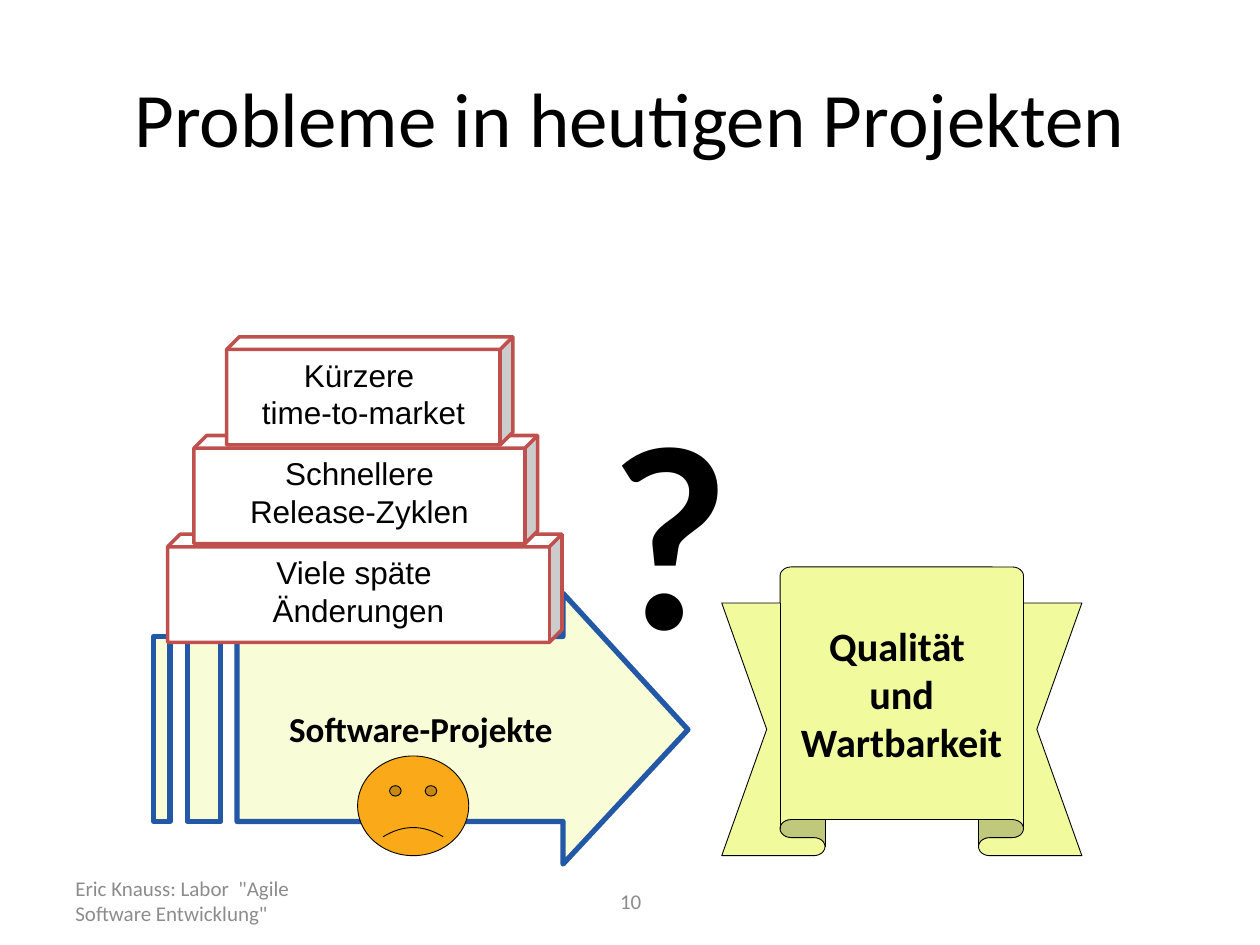
import pptx
import pptx.util
import pptx.dml.color
import pptx.enum.shapes
import pptx.enum.text
from dataclasses import dataclass

Cm = pptx.util.Cm
Pt = pptx.util.Pt
Kind = pptx.enum.shapes.MSO_SHAPE
Align = pptx.enum.text.PP_ALIGN
Anchor = pptx.enum.text.MSO_ANCHOR


@dataclass
class Theme:
    ink: str = "000000"
    grey: str = "8C8C8C"
    white: str = "FFFFFF"
    red: str = "C0504D"
    blue: str = "2358A7"
    cream: str = "F9FDD7"
    lime: str = "F1FA9C"
    gold: str = "FAA918"
    body: str = "Calibri"
    block: str = "Arial"
    mark: str = "Lato"
    title: int = 44
    foot: int = 12
    arrow: int = 20
    goal: int = 23
    cube: int = 18
    huge: int = 142


theme = Theme()


def paint(shape, fill, line, width):
    shape.shadow.inherit = False
    shape.fill.solid()
    shape.fill.fore_color.rgb = pptx.dml.color.RGBColor.from_string(fill)
    shape.line.color.rgb = pptx.dml.color.RGBColor.from_string(line)
    shape.line.width = Pt(width)


def write(shape, text, size, font, color=theme.ink, bold=False,
          align=Align.CENTER, anchor=Anchor.MIDDLE, wrap=True):
    frame = shape.text_frame
    frame.text = text
    frame.word_wrap = wrap
    frame.vertical_anchor = anchor
    for para in frame.paragraphs:
        para.alignment = align
        for run in para.runs:
            run.font.size = Pt(size)
            run.font.name = font
            run.font.bold = bold
            run.font.color.rgb = pptx.dml.color.RGBColor.from_string(color)


deck = pptx.Presentation()
deck.slide_width, deck.slide_height = Cm(25.4), Cm(19.05)
slide = deck.slides.add_slide(deck.slide_layouts[5])
shapes = slide.shapes

# Title and footer
title = shapes.title
title.left, title.top, title.width, title.height = Cm(1.27), Cm(0.76), Cm(22.86), Cm(3.18)
write(title, "Probleme in heutigen Projekten", theme.title, theme.body)

for left, width, text, align in (
    (1.27, 5.92, 'Eric Knauss: Labor  "Agile Software Entwicklung"', Align.LEFT),
    (8.69, 8.05, "10", Align.CENTER),
):
    box = shapes.add_textbox(Cm(left), Cm(17.65), Cm(width), Cm(1.02))
    write(box, text, theme.foot, theme.body, theme.grey, align=align)

# Striped project arrow: a head with shaft, then two bars
top, base = 12.83, 16.56
neck, tail = 11.35, 4.78
head = [(neck, 11.96), (neck, top), (tail, top), (tail, base),
        (neck, base), (neck, 17.42), (13.87, 14.71)]
bars = [[(left, top), (left, base), (right, base), (right, top)]
        for left, right in ((3.78, 4.45), (3.1, 3.43))]
pen = shapes.build_freeform(Cm(neck), Cm(11.96))
for part in [head] + bars:
    points = [(Cm(x), Cm(y)) for x, y in part]
    pen.move_to(*points[0])
    pen.add_line_segments(points[1:], close=True)
arrow = pen.convert_to_shape()
paint(arrow, theme.cream, theme.blue, 3)
write(arrow, "Software-Projekte", theme.arrow, theme.body, bold=True, wrap=False)

# Goal ribbon
goal = shapes.add_shape(Kind.UP_RIBBON, Cm(14.55), Cm(11.43), Cm(7.26), Cm(5.82))
goal.adjustments[0], goal.adjustments[1] = 0.125, 0.676
paint(goal, theme.lime, theme.ink, 0.5)
write(goal, "Qualität \nund\nWartbarkeit", theme.goal, theme.body, bold=True, wrap=False)

# Question mark and sad face
mark = shapes.add_textbox(Cm(12.17), Cm(7.57), Cm(3.48), Cm(6.22))
write(mark, "?", theme.huge, theme.mark, bold=True, align=Align.LEFT, wrap=False)
for shape in (arrow, goal, mark):
    frame = shape.text_frame
    frame.margin_left = frame.margin_right = Cm(0.2)
    frame.margin_top = frame.margin_bottom = Cm(0.1)

face = shapes.add_shape(Kind.SMILEY_FACE, Cm(7.21), Cm(15.24), Cm(2.24), Cm(2.01))
face.adjustments[0] = -0.047
paint(face, theme.gold, theme.ink, 0.5)

# Stack of burdens, lowest first
for row, (left, width, text) in enumerate((
    (3.38, 7.95, "Viele späte \nÄnderungen"),
    (3.91, 6.93, "Schnellere\nRelease-Zyklen"),
    (4.57, 5.77, "Kürzere \ntime-to-market"),
)):
    cube = shapes.add_shape(Kind.CUBE, Cm(left), Cm(10.77 - 1.99 * row), Cm(width), Cm(2.18))
    cube.adjustments[0] = 0.117
    paint(cube, theme.white, theme.red, 2)
    write(cube, text, theme.cube, theme.block, anchor=Anchor.TOP)

deck.save("out.pptx")
